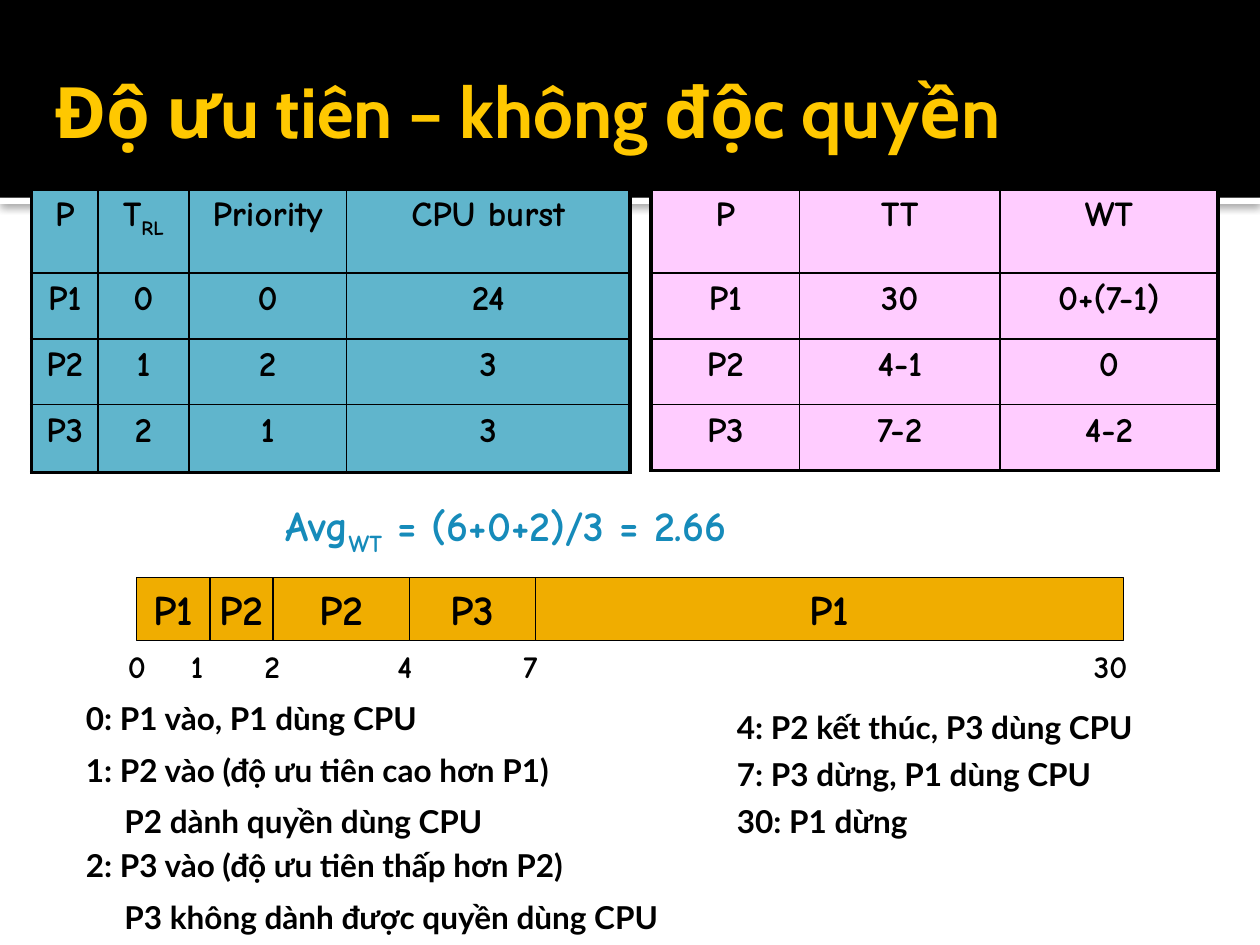
from dataclasses import dataclass
from itertools import pairwise

from lxml.etree import SubElement
from pptx import Presentation
from pptx.dml.color import RGBColor
from pptx.enum.shapes import MSO_SHAPE
from pptx.enum.text import MSO_ANCHOR, PP_ALIGN
from pptx.oxml import parse_xml
from pptx.oxml.ns import nsdecls, qn
from pptx.util import Pt


@dataclass(frozen=True)
class Theme:
    black: str = "000000"
    white: str = "FFFFFF"
    title: str = "FFC800"
    blue: str = "60B5CC"
    pink: str = "FFCCFF"
    bar: str = "F0AD00"
    result: str = "168BBA"
    title_font: str = "Cabin"
    hand_font: str = "Comic Neue"
    note_font: str = "Lato"
    title_size: float = 40.5
    big_size: float = 24
    cell_size: float = 20
    note_size: float = 18
    outer: float = 2.25
    inner: float = 1
    bar_line: float = 0.75


@dataclass(frozen=True)
class Grid:
    left: float
    cols: list[float]
    rows: list[float]
    fill: str
    cells: list[list[str]]


@dataclass(frozen=True)
class Note:
    left: float
    top: float
    width: float
    text: str
    indent: float = 0


@dataclass(frozen=True)
class Tick:
    left: float
    label: str
    width: float = 25


T = Theme()
GRID_TOP = 108
BAR_TOP, BAR_HEIGHT = 330, 36
NOTE_HEIGHT = 29
LEFT_NOTES, RIGHT_NOTES = 42, 414

GRIDS = [
    Grid(18, [38, 52, 90, 162], [48, 37.6, 37.6, 38.8], T.blue, [
        ["P", "T_RL", "Priority", "CPU burst"],
        ["P1", "0", "0", "24"],
        ["P2", "1", "2", "3"],
        ["P3", "2", "1", "3"],
    ]),
    Grid(372, [85, 114.5, 124.5], [48, 37.6, 37.6, 37.6], T.pink, [
        ["P", "TT", "WT"],
        ["P1", "30", "0+(7-1)"],
        ["P2", "4-1", "0"],
        ["P3", "7-2", "4-2"],
    ]),
]
BAR_EDGES = [78, 120, 156, 234, 306, 642]
BAR_NAMES = ["P1", "P2", "P2", "P3", "P1"]
TICKS = [Tick(66, "0"), Tick(102, "1"), Tick(144, "2"), Tick(220, "4"),
         Tick(292, "7"), Tick(618, "30", 37)]
NOTES = [
    Note(LEFT_NOTES, 396, 228, "0: P1 vào, P1 dùng CPU"),
    Note(LEFT_NOTES, 425.5, 325, "1: P2 vào (độ ưu tiên cao hơn P1)"),
    Note(LEFT_NOTES, 455, 281, "P2 dành quyền dùng CPU", 22),
    Note(LEFT_NOTES, 480, 330, "2: P3 vào (độ ưu tiên thấp hơn P2)"),
    Note(LEFT_NOTES, 509.5, 389, "P3 không dành được quyền dùng CPU", 22),
    Note(RIGHT_NOTES, 401, 271, "4: P2 kết thúc, P3 dùng CPU"),
    Note(RIGHT_NOTES, 428, 243, "7: P3 dừng, P1 dùng CPU"),
    Note(RIGHT_NOTES, 455, 126, "30: P1 dừng"),
]


def write(p, text: str, font: str, size: float, color: str) -> None:
    """Fill a paragraph; every second part between underscores is a subscript."""
    for i, part in enumerate(text.split("_")):
        r = p.add_run()
        r.text = part
        r.font.name, r.font.size, r.font.bold = font, Pt(size), True
        r.font.color.rgb = RGBColor.from_string(color)
        if i % 2:
            r._r.get_or_add_rPr().set("baseline", "-25000")


def add_text(s, left: float, top: float, width: float, height: float, text: str,
             font: str, size: float, color: str, wrap: bool = False):
    sp = s.shapes.add_textbox(Pt(left), Pt(top), Pt(width), Pt(height))
    sp.text_frame.word_wrap = wrap
    write(sp.text_frame.paragraphs[0], text, font, size, color)
    return sp


def add_rect(s, left: float, top: float, width: float, height: float,
             fill: str, line: str | None = None):
    sp = s.shapes.add_shape(MSO_SHAPE.RECTANGLE, Pt(left), Pt(top), Pt(width), Pt(height))
    sp.shadow.inherit = False
    sp.fill.solid()
    sp.fill.fore_color.rgb = RGBColor.from_string(fill)
    if line:
        sp.line.color.rgb = RGBColor.from_string(line)
        sp.line.width = Pt(T.bar_line)
    else:
        sp.line.fill.background()
    return sp


def add_shadow(sp) -> None:
    effects = sp._element.spPr.find(qn("a:effectLst"))
    effects.append(parse_xml(
        f'<a:outerShdw {nsdecls("a")} blurRad="{Pt(5)}" dist="{Pt(0.8)}" dir="5400000">'
        f'<a:srgbClr val="{T.black}"><a:alpha val="60000"/></a:srgbClr></a:outerShdw>'))


def set_border(cell, side: str, width: float) -> None:
    ln = SubElement(cell._tc.get_or_add_tcPr(), qn(f"a:ln{side}"), w=str(Pt(width)))
    SubElement(SubElement(ln, qn("a:solidFill")), qn("a:srgbClr"), val=T.black)


def add_grid(s, grid: Grid) -> None:
    n_rows, n_cols = len(grid.rows), len(grid.cols)
    table = s.shapes.add_table(n_rows, n_cols, Pt(grid.left), Pt(GRID_TOP),
                               Pt(sum(grid.cols)), Pt(sum(grid.rows))).table
    for col, width in zip(table.columns, grid.cols):
        col.width = Pt(width)
    for i, (row, height) in enumerate(zip(table.rows, grid.rows)):
        row.height = Pt(height)
        for j, cell in enumerate(row.cells):
            on_edge = {"L": j == 0, "R": j == n_cols - 1, "T": i == 0, "B": i == n_rows - 1}
            for side, is_outer in on_edge.items():
                set_border(cell, side, T.outer if is_outer else T.inner)
            cell.fill.solid()
            cell.fill.fore_color.rgb = RGBColor.from_string(grid.fill)
            p = cell.text_frame.paragraphs[0]
            p.alignment = PP_ALIGN.CENTER
            p.space_before = Pt(0.2 * T.cell_size)
            write(p, grid.cells[i][j], T.hand_font, T.cell_size, T.black)


def add_bar(s, left: float, right: float, name: str) -> None:
    sp = add_rect(s, left, BAR_TOP, right - left, BAR_HEIGHT, T.bar, T.black)
    tf = sp.text_frame
    tf.word_wrap = False
    tf.vertical_anchor = MSO_ANCHOR.MIDDLE
    p = tf.paragraphs[0]
    p.alignment = PP_ALIGN.CENTER
    write(p, name, T.hand_font, T.big_size, T.black)


def add_note(s, note: Note) -> None:
    sp = add_text(s, note.left, note.top, note.width, NOTE_HEIGHT, note.text,
                  T.note_font, T.note_size, T.black)
    if note.indent:
        sp.text_frame.paragraphs[0]._p.get_or_add_pPr().set("marL", str(Pt(note.indent)))


def main() -> None:
    prs = Presentation()
    prs.slide_width, prs.slide_height = Pt(720), Pt(540)
    s = prs.slides.add_slide(prs.slide_layouts[6])

    add_shadow(add_rect(s, 0, 113, 720, 3.6, T.white))
    add_rect(s, 0, 0, 720, 113, T.black)
    title = add_text(s, 24, 18, 588, 90, "Độ ưu tiên – không độc quyền",
                     T.title_font, T.title_size, T.title, wrap=True)
    title.text_frame.vertical_anchor = MSO_ANCHOR.MIDDLE

    for grid in GRIDS:
        add_grid(s, grid)
    add_text(s, 156, 282, 384, 36, "Avg_WT_ = (6+0+2)/3 = 2.66",
             T.hand_font, T.big_size, T.result, wrap=True)
    for (left, right), name in zip(pairwise(BAR_EDGES), BAR_NAMES):
        add_bar(s, left, right, name)
    for tick in TICKS:
        add_text(s, tick.left, BAR_TOP + BAR_HEIGHT, tick.width, NOTE_HEIGHT,
                 tick.label, T.hand_font, T.note_size, T.black)
    for note in NOTES:
        add_note(s, note)

    prs.save("out.pptx")


if __name__ == "__main__":
    main()
